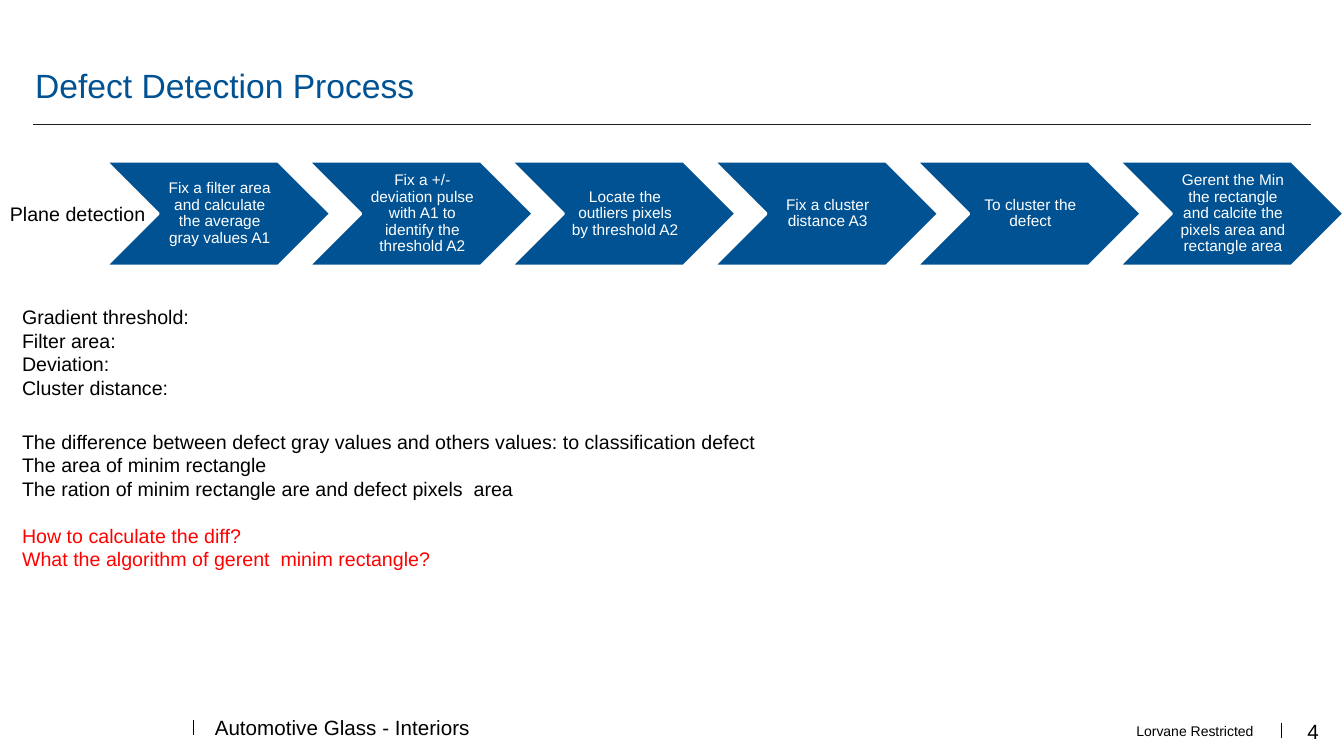
from dataclasses import dataclass

from lxml import etree
from pptx import Presentation
from pptx import util as u
from pptx.dml.color import RGBColor
from pptx.enum import shapes, text
from pptx.oxml import ns

# Content
TITLE = "Defect Detection Process"
ROW_LABEL = "Plane detection"
STEPS = [
    "Fix a filter area and calculate the average gray values A1",
    "Fix a +/-deviation pulse with A1 to identify the threshold A2",
    "Locate the outliers pixels by threshold A2",
    "Fix a cluster distance A3",
    "To cluster the defect",
    "Gerent the Min the rectangle and calcite the pixels area and rectangle area",
]
# Each group: colour name, gap above in points, lines
NOTES = [
    ("ink", 0, ["Gradient threshold:", "Filter area:", "Deviation:", "Cluster distance:"]),
    ("ink", 21.6, [
        "The difference between defect gray values and others values: to classification defect",
        "The area of minim rectangle",
        "The ration of minim rectangle are and defect pixels  area",
    ]),
    ("alert", 16.8, ["How to calculate the diff?", "What the algorithm of gerent  minim rectangle?"]),
]
DIVISION = "Automotive Glass - Interiors"
NOTICE = "Lorvane Restricted"
PAGE_NUMBER = "4"


@dataclass(frozen=True)
class Theme:
    font: str = "Arial"
    brand: str = "005293"
    ink: str = "000000"
    rule: str = "1E1E1E"
    paper: str = "FFFFFF"
    alert: str = "FF0000"
    title: float = 24
    body: float = 14
    step: float = 11
    footer: float = 14.7
    notice: float = 10


THEME = Theme()
PX = 9144  # 100 px to the inch
PAGE_W, PAGE_H = 1333, 750
STEP_LEFT, STEP_TOP, STEP_W, STEP_H, STEP_PITCH = 105, 160, 223, 104, 201
INSET = (10, 5, 10, 5)
FOOTER_INSET = (0, 5, 0, 5)
LEFT, CENTER, RIGHT = text.PP_ALIGN.LEFT, text.PP_ALIGN.CENTER, text.PP_ALIGN.RIGHT
TOP, MIDDLE = text.MSO_ANCHOR.TOP, text.MSO_ANCHOR.MIDDLE


def px(*lengths):
    return [u.Emu(length * PX) for length in lengths]


def colour(value):
    return RGBColor.from_string(value)


def set_frame(frame, inset, anchor, wrap=True):
    frame.word_wrap = wrap
    frame.vertical_anchor = anchor
    (frame.margin_left, frame.margin_top,
     frame.margin_right, frame.margin_bottom) = px(*inset)


def add_span(para, words, size, ink, align=LEFT):
    para.alignment = align
    span = para.add_run()
    span.text = words
    span.font.name = THEME.font
    span.font.size = u.Pt(size)
    span.font.color.rgb = colour(ink)


def add_label(page, place, words, size, ink=THEME.ink, align=LEFT,
              inset=INSET, anchor=TOP, wrap=True):
    box = page.shapes.add_textbox(*px(*place))
    set_frame(box.text_frame, inset, anchor, wrap)
    add_span(box.text_frame.paragraphs[0], words, size, ink, align)


def add_line(page, ends, ink, width):
    line = page.shapes.add_connector(shapes.MSO_CONNECTOR.STRAIGHT, *px(*ends))
    line.line.color.rgb = colour(ink)
    line.line.width = u.Pt(width)
    etree.SubElement(line._element.spPr, ns.qn("a:effectLst"))


def add_step(page, index, words):
    left = STEP_LEFT + index * STEP_PITCH
    step = page.shapes.add_shape(shapes.MSO_SHAPE.CHEVRON,
                                 *px(left, STEP_TOP, STEP_W, STEP_H))
    step.shadow.inherit = False
    step.fill.solid()
    step.fill.fore_color.rgb = colour(THEME.brand)
    step.line.color.rgb = colour(THEME.paper)
    step.line.width = u.Pt(2)
    set_frame(step.text_frame, (5, 2, 2, 2), MIDDLE)
    para = step.text_frame.paragraphs[0]
    para.line_spacing = 0.9
    add_span(para, words, THEME.step, THEME.paper, CENTER)


def add_notes(page):
    box = page.shapes.add_textbox(*px(12, 298, 955, 276))
    frame = box.text_frame
    set_frame(frame, INSET, TOP)
    para = frame.paragraphs[0]
    for group, (ink, gap, lines) in enumerate(NOTES):
        for row, words in enumerate(lines):
            if group or row:
                para = frame.add_paragraph()
            para.space_before = u.Pt(0 if row else gap)
            add_span(para, words, THEME.body, getattr(THEME, ink))


def main():
    deck = Presentation()
    deck.slide_width, deck.slide_height = px(PAGE_W, PAGE_H)
    page = deck.slides.add_slide(deck.slide_layouts[6])

    # Heading
    add_line(page, (33, 124, 1300, 124), THEME.rule, 0.75)
    add_label(page, (25, 59, 400, 50), TITLE, THEME.title, THEME.brand, wrap=False)

    # Process row
    for index, words in enumerate(STEPS):
        add_step(page, index, words)
    add_label(page, (0, 195, 163, 34), ROW_LABEL, THEME.body)

    # Parameters and questions
    add_notes(page)

    # Footer
    for left, top in [(192, 714), (1271, 717)]:
        add_line(page, (left, top, left, top + 15), THEME.ink, 1)
    add_label(page, (213, 707, 451, 29), DIVISION, THEME.footer,
              inset=FOOTER_INSET, anchor=MIDDLE)
    add_label(page, (1240, 711, 68, 29), PAGE_NUMBER, THEME.footer,
              align=RIGHT, inset=FOOTER_INSET, anchor=MIDDLE)
    add_label(page, (953, 712, 300, 27), NOTICE, THEME.notice, align=RIGHT)

    deck.save("out.pptx")


if __name__ == "__main__":
    main()
